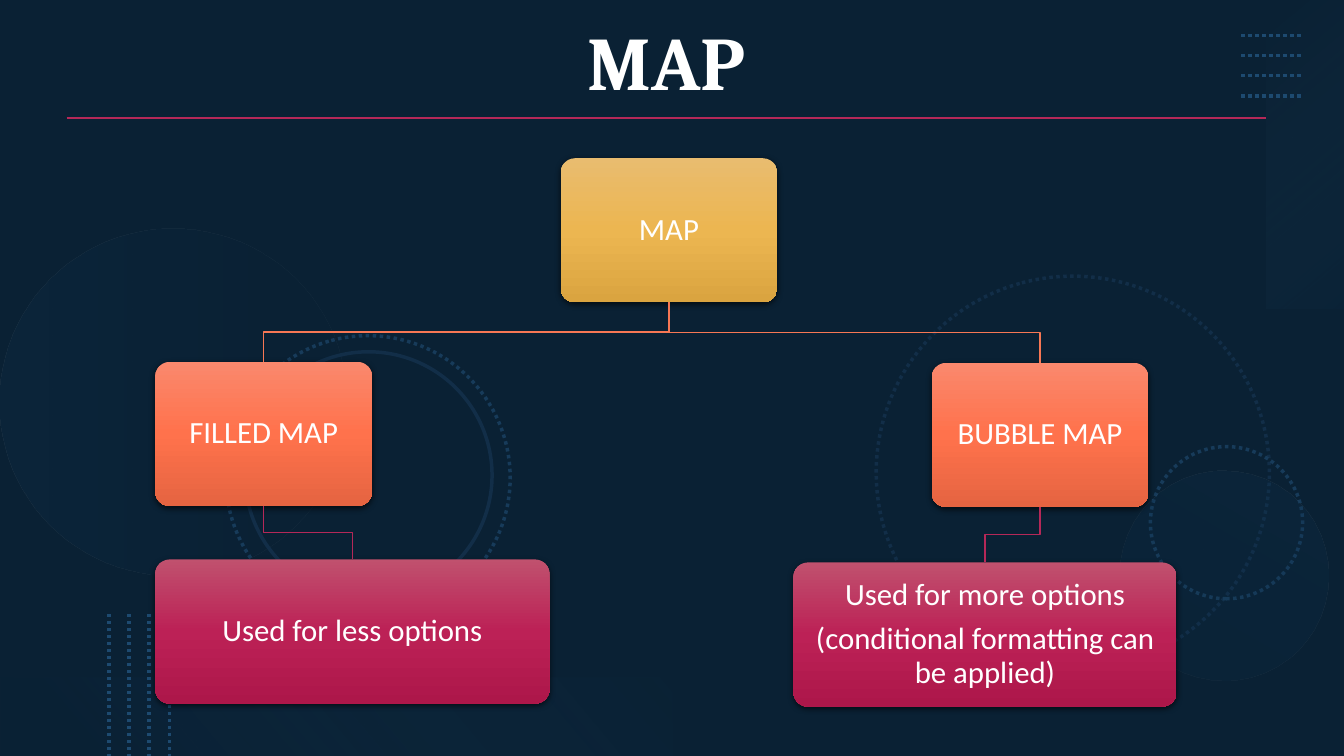
from lxml import etree
from pptx import Presentation
from pptx.dml.color import RGBColor
from pptx.enum.dml import MSO_LINE_DASH_STYLE as Dash
from pptx.enum.shapes import MSO_CONNECTOR, MSO_SHAPE as Shape
from pptx.enum.text import MSO_ANCHOR, MSO_AUTO_SIZE, PP_ALIGN
from pptx.oxml.ns import qn
from pptx.util import Pt

PX = 9144  # EMU; 100 px to the inch
WIDTH, HEIGHT = 1333, 750
BOX_HEIGHT = 143

WHITE = RGBColor(0xFF, 0xFF, 0xFF)
BLACK = RGBColor(0x00, 0x00, 0x00)
OCEAN = RGBColor(0x16, 0x47, 0x6F)
NAVY = RGBColor(0x0B, 0x23, 0x37)
STEEL = RGBColor(0x11, 0x35, 0x53)
SKY = RGBColor(0x81, 0xB9, 0xE6)
AZURE = RGBColor(0x42, 0x96, 0xDA)
DOT = RGBColor(0x1D, 0x4A, 0x70)
RING = RGBColor(0x17, 0x3B, 0x5A)
FAINT_RING = RGBColor(0x12, 0x2E, 0x48)
CRIMSON = RGBColor(0xB5, 0x28, 0x58)
CORAL = RGBColor(0xF7, 0x77, 0x54)

GOLD_STOPS = [(0, RGBColor(0xE9, 0xBC, 0x6F), 100),
              (50, RGBColor(0xEC, 0xB6, 0x51), 100),
              (100, RGBColor(0xDA, 0xA4, 0x40), 100)]
CORAL_STOPS = [(0, RGBColor(0xFA, 0x88, 0x6D), 100),
               (50, RGBColor(0xFF, 0x72, 0x4C), 100),
               (100, RGBColor(0xE5, 0x64, 0x41), 100)]
CRIMSON_STOPS = [(0, RGBColor(0xC0, 0x51, 0x6E), 100),
                 (50, RGBColor(0xBC, 0x21, 0x56), 100),
                 (100, RGBColor(0xAD, 0x17, 0x4A), 100)]


def add_child(parent, tag, **attributes):
    child = etree.SubElement(parent, qn(tag))
    for name, value in attributes.items():
        child.set(name, str(value))
    return child


def add_color(parent, color, alpha):
    element = add_child(parent, "a:srgbClr", val=color)
    if alpha < 100:
        add_child(element, "a:alpha", val=alpha * 1000)


def add_plain(page, kind, left, top, width, height, rotation=0):
    """Add a shape with no fill, line or shadow."""
    shape = page.shapes.add_shape(kind, left * PX, top * PX, width * PX, height * PX)
    shape.rotation = rotation
    shape.shadow.inherit = False
    shape.fill.background()
    shape.line.fill.background()
    return shape


def fill_gradient(shape, stops, angle):
    """Fill with stops of (position %, colour, opacity %)."""
    empty = shape.element.spPr.find(qn("a:noFill"))
    gradient = etree.Element(qn("a:gradFill"), rotWithShape="1")
    stop_list = add_child(gradient, "a:gsLst")
    for position, color, alpha in stops:
        add_color(add_child(stop_list, "a:gs", pos=position * 1000), color, alpha)
    add_child(gradient, "a:lin", ang=angle * 60000, scaled=0)
    empty.getparent().replace(empty, gradient)


def style_line(line, color, width, dash=None):
    line.color.rgb = color
    line.width = Pt(width)
    if dash:
        line.dash_style = dash


def add_line(page, start, end, color, width, dash=None):
    points = [value * PX for value in (*start, *end)]
    line = page.shapes.add_connector(MSO_CONNECTOR.STRAIGHT, *points)
    style_line(line.line, color, width, dash)
    add_child(line.element.spPr, "a:effectLst")


def add_ring(page, left, top, size, color, dash=None, rotation=75):
    ring = add_plain(page, Shape.OVAL, left, top, size, size, rotation)
    style_line(ring.line, color, 2.5, dash)


def add_span(para, text, size, font, bold=False):
    span = para.add_run()
    span.text = text
    span.font.size = Pt(size)
    span.font.name = font
    span.font.bold = bold
    span.font.color.rgb = WHITE


def add_box(page, left, top, width, stops, *lines):
    box = add_plain(page, Shape.ROUNDED_RECTANGLE, left, top, width, BOX_HEIGHT)
    box.adjustments[0] = 0.1
    fill_gradient(box, stops, 90)
    shadow = add_child(box.element.spPr.find(qn("a:effectLst")), "a:outerShdw",
                       blurRad=Pt(4.5), dist=Pt(1.5), dir=90 * 60000,
                       algn="ctr", rotWithShape=0)
    add_color(shadow, BLACK, 63)
    frame = box.text_frame
    frame.word_wrap = True
    frame.vertical_anchor = MSO_ANCHOR.MIDDLE
    frame.margin_left = frame.margin_right = 13 * PX
    frame.margin_top = frame.margin_bottom = 13 * PX
    for index, text in enumerate(lines):
        para = frame.add_paragraph() if index else frame.paragraphs[0]
        para.alignment = PP_ALIGN.CENTER
        para.line_spacing = 0.9
        if index < len(lines) - 1:
            para.space_after = Pt(7.7)
        add_span(para, text, 22, "Calibri")
    return box


def join_boxes(page, parent, child, color):
    """Draw an elbow from the parent's bottom centre to the child's top centre."""
    start_x = parent.left + parent.width // 2
    end_x = child.left + child.width // 2
    start_y = parent.top + parent.height
    middle = (start_y + child.top) // 2
    builder = page.shapes.build_freeform(start_x, start_y)
    builder.add_line_segments(
        [(start_x, middle), (end_x, middle), (end_x, child.top)], close=False)
    elbow = builder.convert_to_shape()
    elbow.shadow.inherit = False
    elbow.fill.background()
    style_line(elbow.line, color, 1)


def add_backdrop(page):
    base = add_plain(page, Shape.RECTANGLE, 0, 0, WIDTH, HEIGHT)
    base.fill.solid()
    base.fill.fore_color.rgb = OCEAN
    shade = add_plain(page, Shape.RECTANGLE, 0, 0, WIDTH, HEIGHT)
    fill_gradient(shade, [(0, BLACK, 53), (100, BLACK, 53)], 0)

    add_ring(page, 869, 274, 390, FAINT_RING, Dash.ROUND_DOT)
    add_ring(page, 1141, 443, 151, RING, Dash.ROUND_DOT, 270)
    left_disc = add_plain(page, Shape.OVAL, 0, 227, 344, 344, 270)
    fill_gradient(left_disc, [(0, STEEL, 20), (100, NAVY, 10)], 90)
    right_disc = add_plain(page, Shape.OVAL, 1110, 467, 208, 208, 210)
    fill_gradient(right_disc, [(0, STEEL, 10), (100, STEEL, 20)], 90)
    add_ring(page, 224, 333, 282, RING, Dash.ROUND_DOT)
    add_ring(page, 243, 349, 245, FAINT_RING)

    right_band = add_plain(page, Shape.RECTANGLE, 1142, 114, 306, 78, 270)
    fill_gradient(right_band, [(0, SKY, 0), (100, STEEL, 10)], 140)
    bottom_band = add_plain(page, Shape.RECTANGLE, 0, 672, 667, 78, 180)
    fill_gradient(bottom_band, [(10, NAVY, 10), (100, AZURE, 0)], 140)
    for step in range(0, 80, 20):
        add_line(page, (1231, 35 + step), (1291, 35 + step), DOT, 2.5, Dash.ROUND_DOT)
        add_line(page, (108 + step, 609), (108 + step, HEIGHT), DOT, 2.5, Dash.ROUND_DOT)


def add_title(page, text):
    title = page.shapes.title
    title.element.getparent().append(title.element)  # bring in front of the backdrop
    title.left, title.top = 123 * PX, 13 * PX
    title.width, title.height = 1076 * PX, 98 * PX
    frame = title.text_frame
    frame.auto_size = MSO_AUTO_SIZE.NONE
    frame.vertical_anchor = MSO_ANCHOR.BOTTOM
    para = frame.paragraphs[0]
    para.alignment = PP_ALIGN.CENTER
    para.line_spacing = 0.9
    add_span(para, text, 54, "Cambria", bold=True)
    add_line(page, (66, 117), (1256, 117), CRIMSON, 1.5)


def add_tree(page):
    root = add_box(page, 556, 157, 215, GOLD_STOPS, "MAP")
    filled = add_box(page, 154, 359, 215, CORAL_STOPS, "FILLED MAP")
    bubble = add_box(page, 924, 360, 215, CORAL_STOPS, "BUBBLE MAP")
    less = add_box(page, 154, 555, 391, CRIMSON_STOPS, "Used for less options")
    more = add_box(page, 787, 558, 380, CRIMSON_STOPS, "Used for more options",
                   "(conditional formatting can be applied)")
    for kind, use in ((filled, less), (bubble, more)):
        join_boxes(page, root, kind, CORAL)
        join_boxes(page, kind, use, CRIMSON)


def main():
    deck = Presentation()
    deck.slide_width, deck.slide_height = WIDTH * PX, HEIGHT * PX
    page = deck.slides.add_slide(deck.slide_layouts[5])
    add_backdrop(page)
    add_title(page, "MAP")
    add_tree(page)
    deck.save("out.pptx")


if __name__ == "__main__":
    main()
